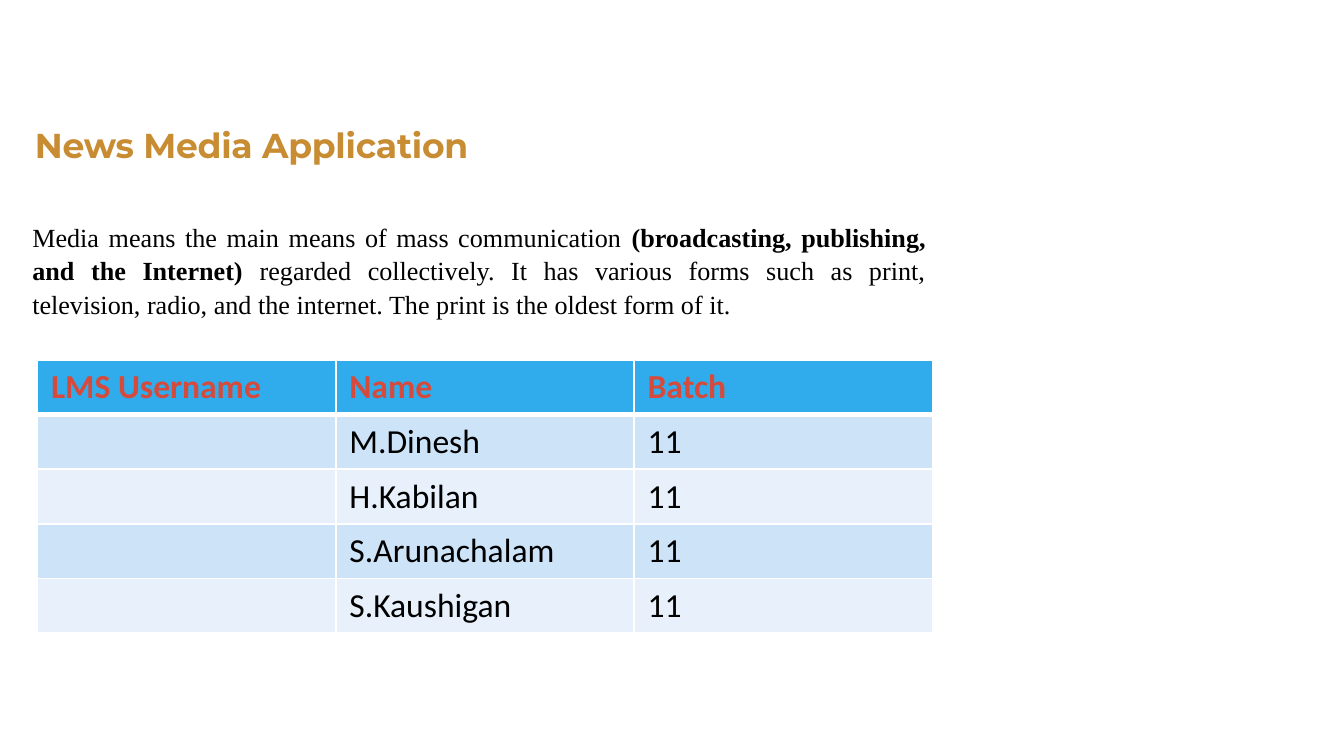
from dataclasses import dataclass

from lxml import etree
from pptx import Presentation
from pptx import util as u
from pptx.dml.color import RGBColor
from pptx.enum import text
from pptx.oxml import ns


@dataclass(frozen=True)
class Theme:
    gold: str = "C88C32"
    ink: str = "000000"
    header_ink: str = "D64A3B"
    header_fill: str = "30ACEC"
    bands: tuple = ("CDE3F8", "E8F1FB")
    border: str = "FFFFFF"
    title_size: float = 18.5
    body_size: float = 14
    table_size: float = 18


theme = Theme()


def write(frame, content, *, font, size, color, bold=False, align=None,
          line=None, tracking=None):
    """Write (words, bold) pairs, or one string, into the first paragraph."""
    pieces = [(content, bold)] if isinstance(content, str) else content
    paragraph = frame.paragraphs[0]
    if align is not None:
        paragraph.alignment = align
    if line:
        paragraph.line_spacing = u.Pt(line)
    for words, is_bold in pieces:
        run = paragraph.add_run()
        run.text = words
        run.font.name = font
        run.font.size = u.Pt(size)
        run.font.bold = is_bold
        run.font.color.rgb = RGBColor.from_string(color)
        if tracking:
            run.font._element.set("spc", str(round(tracking * 100)))


def set_borders(cell, **widths):
    """Draw the cell's four borders; widths are points by side (L, R, T, B)."""
    properties = cell._tc.get_or_add_tcPr()
    for side in "LRTB":
        border = etree.SubElement(properties, ns.qn(f"a:ln{side}"),
                                  w=str(u.Pt(widths.get(side, 1))))
        fill = etree.SubElement(border, ns.qn("a:solidFill"))
        etree.SubElement(fill, ns.qn("a:srgbClr"), val=theme.border)


# Widescreen page, 16:9
prs = Presentation()
prs.slide_width = u.Inches(10)
prs.slide_height = prs.slide_width * 9 // 16
slide = prs.slides.add_slide(prs.slide_layouts[6])

# Title and introduction
text_blocks = [
    ((0.26, 0.9, 4.51, 0.32), "News Media Application",
     dict(font="Montserrat", size=theme.title_size, color=theme.gold,
          bold=True, line=23.8, tracking=-0.1)),
    ((0.24, 1.63, 6.65, 0.74),
     [("Media means the main means of mass communication ", False),
      ("(broadcasting, publishing, and the Internet) ", True),
      ("regarded collectively. It has various forms such as print, television, "
       "radio, and the internet. The print is the oldest form of it.", False)],
     dict(font="Times New Roman", size=theme.body_size, color=theme.ink,
          align=text.PP_ALIGN.JUSTIFY, line=18)),
]
for place, content, style in text_blocks:
    frame = slide.shapes.add_textbox(*map(u.Inches, place)).text_frame
    frame.word_wrap = True
    frame.margin_left = frame.margin_right = 0
    frame.margin_top = frame.margin_bottom = 0
    write(frame, content, **style)

# Team table
members = ["M.Dinesh", "H.Kabilan", "S.Arunachalam", "S.Kaushigan"]
rows = [("LMS Username", "Name", "Batch")]
rows += [("", member, "11") for member in members]
team = slide.shapes.add_table(len(rows), len(rows[0]), u.Inches(0.28), u.Inches(2.68),
                              u.Inches(6.66), u.Inches(2.03)).table

for row_index, row in enumerate(rows):
    is_header = row_index == 0
    band = theme.header_fill if is_header else theme.bands[(row_index - 1) % 2]
    for column_index, words in enumerate(row):
        cell = team.cell(row_index, column_index)
        set_borders(cell, T=3 if row_index == 1 else 1, B=3 if is_header else 1)
        cell.fill.solid()
        cell.fill.fore_color.rgb = RGBColor.from_string(band)
        if words:
            write(cell.text_frame, words, font="Calibri", size=theme.table_size,
                  color=theme.header_ink if is_header else theme.ink, bold=is_header)

prs.save("out.pptx")
